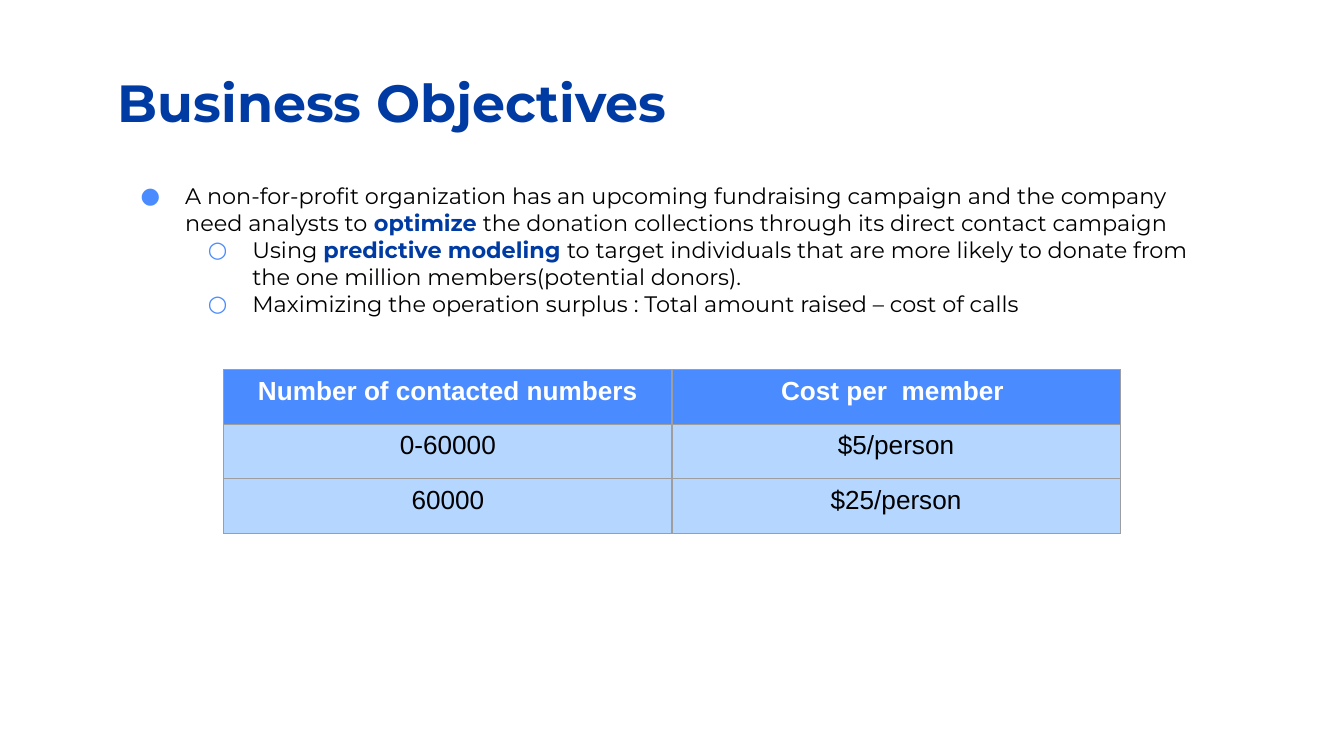
from lxml.etree import SubElement
from pptx import Presentation
from pptx.dml.color import RGBColor
from pptx.enum.text import PP_ALIGN
from pptx.oxml.ns import qn
from pptx.util import Cm, Pt

COLORS = {
    "navy": "003BA3",
    "blue": "4A8CFF",
    "pale": "B4D6FF",
    "border": "9E9E9E",
    "black": "000000",
    "white": "FFFFFF",
}
TITLE = "Business Objectives"
OBJECTIVES = [
    (0, [
        ("A non-for-profit organization has an upcoming fundraising campaign "
         "and the company need analysts to", False),
        (" optimize", True),
        (" the donation collections through its direct contact campaign", False),
    ]),
    (1, [
        ("Using ", False),
        ("predictive modeling ", True),
        ("to target individuals that are more likely to donate from "
         "the one million members(potential donors).", False),
    ]),
    (1, [("Maximizing the operation surplus : Total amount raised – cost of calls", False)]),
]
CALL_COSTS = [
    ("Number of contacted numbers", "Cost per  member "),
    ("0-60000", "$5/person"),
    ("60000", "$25/person"),
]
BULLETS = ["●", "○"]
INDENT, HANGING = Cm(1.27), Cm(0.84)
LEFT, WIDTH = Cm(1.98), Cm(21.44)
COLUMN_WIDTH, ROW_HEIGHT = Cm(8.47), Cm(1.03)


def write(paragraph, text, font="Montserrat", size=12, color="black", bold=False):
    run = paragraph.add_run()
    run.text = text
    run.font.name = font
    run.font.size = Pt(size)
    run.font.bold = bold
    run.font.color.rgb = RGBColor.from_string(COLORS[color])


def add_box(slide, top, height):
    frame = slide.shapes.add_textbox(LEFT, top, WIDTH, height).text_frame
    frame.word_wrap = True
    frame.margin_left = frame.margin_right = Cm(0.25)
    frame.margin_top = frame.margin_bottom = Cm(0.25)
    return frame


def add_bullet(paragraph, level):
    paragraph.level = level
    properties = paragraph._p.get_or_add_pPr()
    properties.set("marL", str(INDENT * (level + 1)))
    properties.set("indent", str(-HANGING))
    bullet_color = SubElement(properties, qn("a:buClr"))
    SubElement(bullet_color, qn("a:srgbClr"), val=COLORS["blue"])
    SubElement(properties, qn("a:buFont"), typeface="Montserrat")
    SubElement(properties, qn("a:buChar"), char=BULLETS[level])


def style_cell(cell, fill):
    properties = cell._tc.get_or_add_tcPr()
    for side in ("lnL", "lnR", "lnT", "lnB"):
        line = SubElement(properties, qn(f"a:{side}"), w=str(Pt(0.75)))
        solid = SubElement(line, qn("a:solidFill"))
        SubElement(solid, qn("a:srgbClr"), val=COLORS["border"])
    cell.fill.solid()
    cell.fill.fore_color.rgb = RGBColor.from_string(COLORS[fill])


def add_costs(slide):
    rows, columns = len(CALL_COSTS), len(CALL_COSTS[0])
    table = slide.shapes.add_table(
        rows, columns, Cm(4.23), Cm(6.99), COLUMN_WIDTH * columns, ROW_HEIGHT * rows
    ).table
    for row, texts in enumerate(CALL_COSTS):
        table.rows[row].height = ROW_HEIGHT
        header = row == 0
        for column, text in enumerate(texts):
            cell = table.cell(row, column)
            style_cell(cell, "blue" if header else "pale")
            paragraph = cell.text_frame.paragraphs[0]
            paragraph.alignment = PP_ALIGN.CENTER
            write(paragraph, text, font="Arial", size=14,
                  color="white" if header else "black", bold=header)


def main():
    deck = Presentation()
    deck.slide_width, deck.slide_height = Cm(25.4), Cm(14.29)
    slide = deck.slides.add_slide(deck.slide_layouts[6])

    title = add_box(slide, Cm(1.07), Cm(1.6))
    write(title.paragraphs[0], TITLE, size=28, color="navy", bold=True)

    objectives = add_box(slide, Cm(3.2), Cm(9.5))
    for index, (level, parts) in enumerate(OBJECTIVES):
        paragraph = objectives.add_paragraph() if index else objectives.paragraphs[0]
        add_bullet(paragraph, level)
        for text, key_term in parts:
            write(paragraph, text, color="navy" if key_term else "black", bold=key_term)

    add_costs(slide)
    deck.save("out.pptx")


if __name__ == "__main__":
    main()
